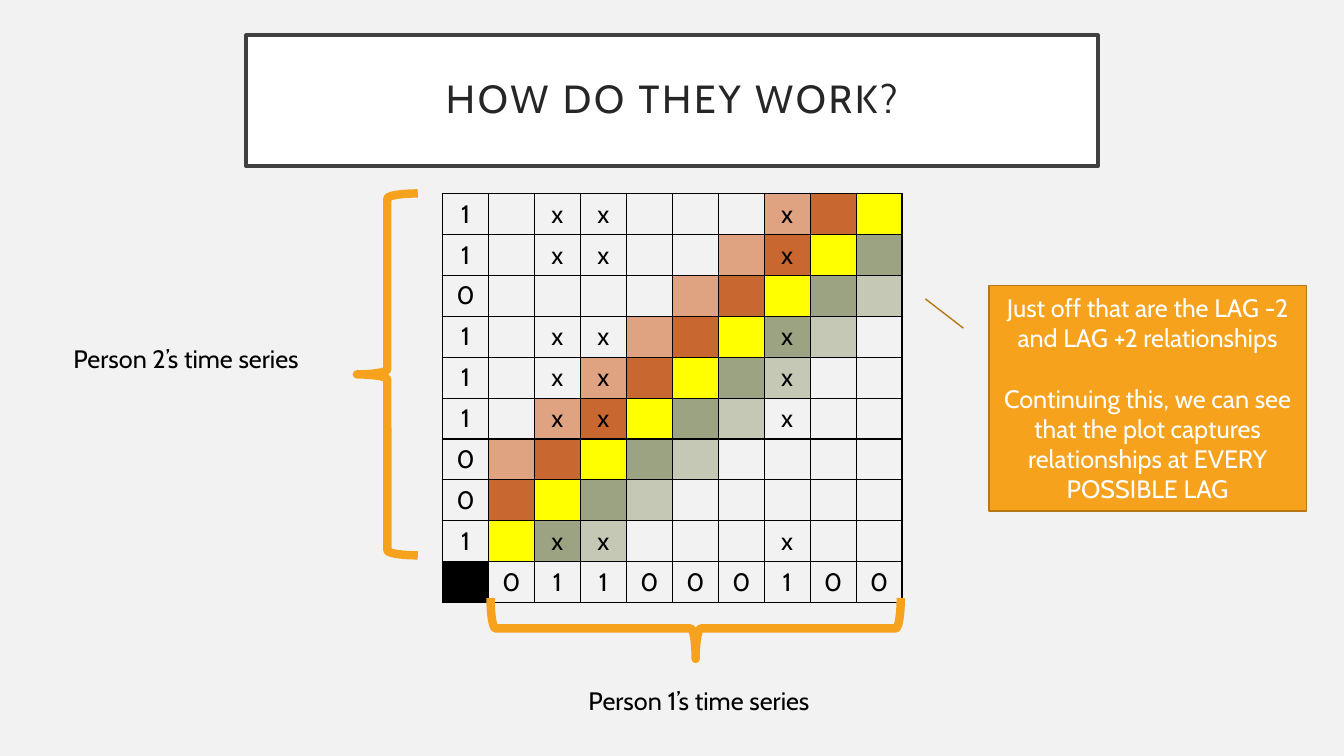
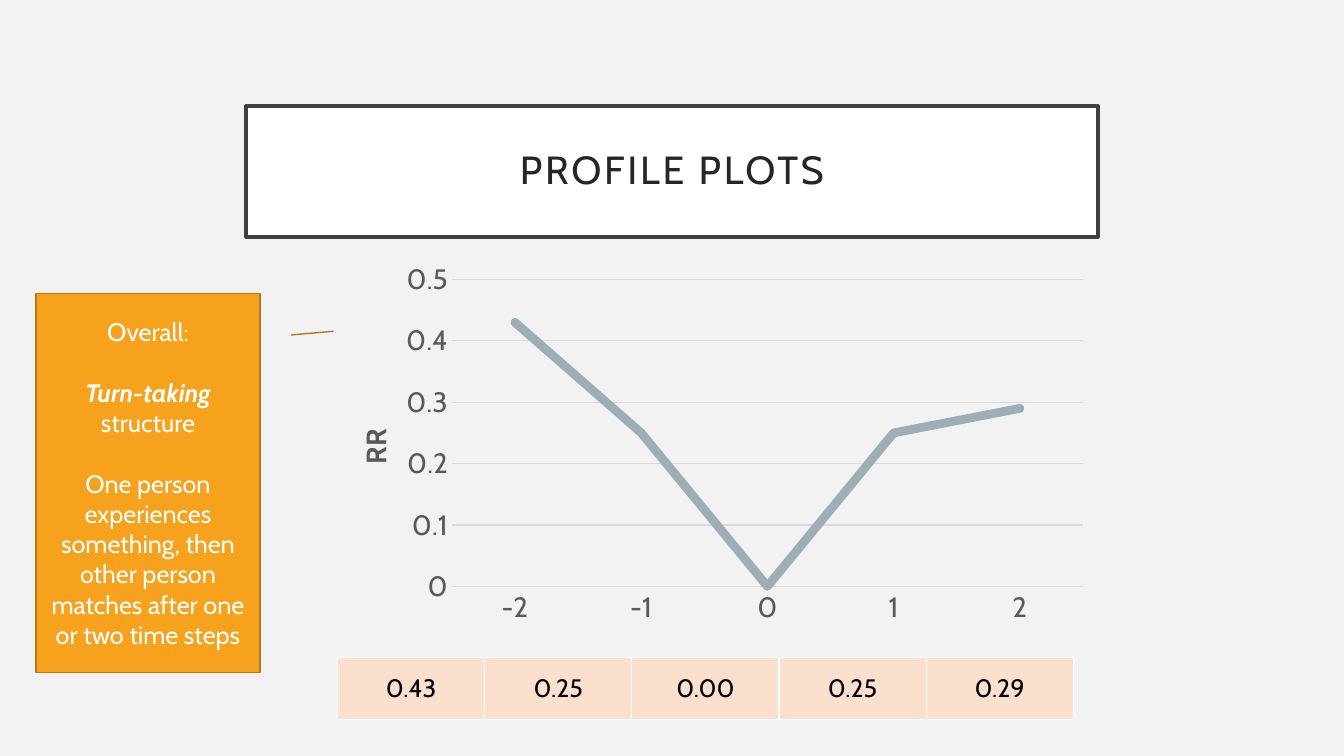
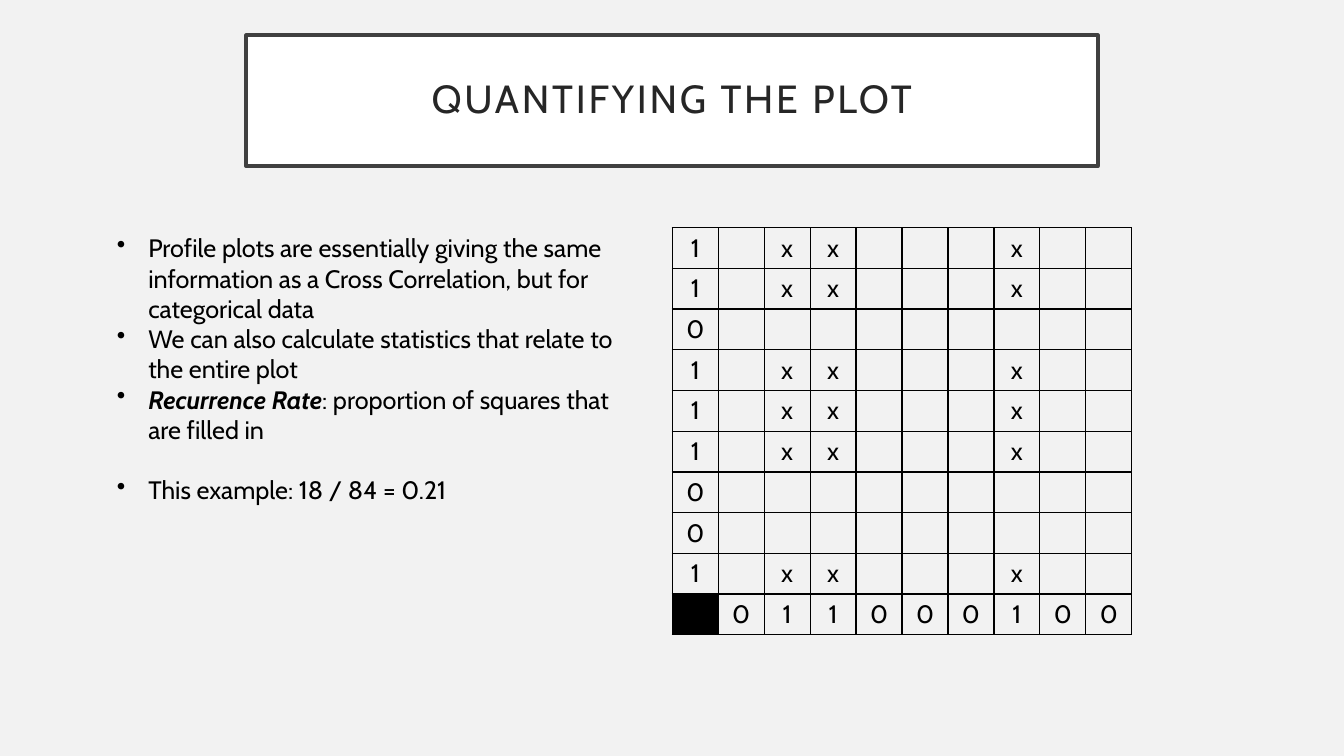
"""Build three slides on recurrence plots, lag profiles and recurrence rate."""
from lxml import etree
from pptx import Presentation
from pptx.chart.data import CategoryChartData
from pptx.dml.color import RGBColor
from pptx.enum.chart import XL_CHART_TYPE, XL_MARKER_STYLE, XL_TICK_MARK
from pptx.enum.shapes import MSO_SHAPE
from pptx.enum.text import MSO_ANCHOR, PP_ALIGN
from pptx.oxml.ns import qn
from pptx.util import Pt

RECT, BRACE, CALLOUT = MSO_SHAPE.RECTANGLE, MSO_SHAPE.LEFT_BRACE, MSO_SHAPE.LINE_CALLOUT_1
CENTER, LEFT = PP_ALIGN.CENTER, PP_ALIGN.LEFT
MIDDLE = MSO_ANCHOR.MIDDLE
NO_TICK = XL_TICK_MARK.NONE
LINE_MARKERS, CIRCLE = XL_CHART_TYPE.LINE_MARKERS, XL_MARKER_STYLE.CIRCLE

FONT = "Cabin"
BACKGROUND = RGBColor(0xF2, 0xF2, 0xF2)
WHITE = RGBColor(0xFF, 0xFF, 0xFF)
BLACK = RGBColor(0, 0, 0)
TITLE_TEXT = RGBColor(0x26, 0x26, 0x26)
TITLE_LINE = RGBColor(0x40, 0x40, 0x40)
ORANGE = RGBColor(0xF6, 0xA2, 0x1D)
ORANGE_LINE = RGBColor(0xB6, 0x78, 0x15)
PEACH = RGBColor(0xFB, 0xE0, 0xCD)
AXIS_TEXT = RGBColor(0x59, 0x59, 0x59)
GRID = RGBColor(0xD9, 0xD9, 0xD9)
SERIES = RGBColor(0x9B, 0xAF, 0xB5)
LAG_COLORS = {
    -2: RGBColor(0xE0, 0xA3, 0x82),
    -1: RGBColor(0xC9, 0x67, 0x31),
    0: RGBColor(0xFF, 0xFF, 0x00),
    1: RGBColor(0x9C, 0xA3, 0x83),
    2: RGBColor(0xC4, 0xC8, 0xB5),
}

PERSON_1 = "011000100"
PERSON_2 = "110111001"
RATES = [0.43, 0.25, 0, 0.25, 0.29]
LINE_GAP = 21.6


def write(tf, paragraphs, color=BLACK, size=18, align=LEFT):
    """Write (space before, text) paragraphs; text between asterisks is bold italic."""
    tf.word_wrap = True
    for n, (gap, text) in enumerate(paragraphs):
        p = tf.add_paragraph() if n else tf.paragraphs[0]
        p.alignment = align
        if gap:
            p.space_before = Pt(gap)
        for i, part in enumerate(text.split("*")):
            if part:
                r = p.add_run()
                r.text = part
                r.font.name, r.font.size = FONT, Pt(size)
                r.font.color.rgb = color
                if i % 2:
                    r.font.bold = r.font.italic = True


def style_cell(cell, text, fill, edge):
    """Give a table cell its borders, fill and centred text."""
    tcPr = cell._tc.get_or_add_tcPr()
    for side in "LRTB":
        ln = etree.SubElement(tcPr, qn(f"a:ln{side}"), w=str(Pt(1)))
        solid = etree.SubElement(ln, qn("a:solidFill"))
        etree.SubElement(solid, qn("a:srgbClr"), val=str(edge))
    if fill is None:
        cell.fill.background()
    else:
        cell.fill.solid()
        cell.fill.fore_color.rgb = fill
    cell.vertical_anchor = MIDDLE
    write(cell.text_frame, [(0, text)], align=CENTER)


prs = Presentation()
prs.slide_width, prs.slide_height = Pt(960), Pt(540)

slides = []
for title, top in [("HOW DO THEY WORK?", 25.2), ("PROFILE PLOTS", 75.6), ("QUANTIFYING THE PLOT", 25.2)]:
    s = prs.slides.add_slide(prs.slide_layouts[6])
    s.background.fill.solid()
    s.background.fill.fore_color.rgb = BACKGROUND
    sp = s.shapes.add_shape(RECT, Pt(175.8), Pt(top), Pt(608.4), Pt(93.6))
    sp.shadow.inherit = False
    sp.fill.solid()
    sp.fill.fore_color.rgb = WHITE
    sp.line.color.rgb = TITLE_LINE
    sp.line.width = Pt(2.5)
    tf = sp.text_frame
    tf.vertical_anchor = MIDDLE
    tf.margin_left = tf.margin_right = tf.margin_top = tf.margin_bottom = Pt(14.4)
    write(tf, [(0, title)], TITLE_TEXT, 28, CENTER)
    tf.paragraphs[0].line_spacing = 0.9
    tf.paragraphs[0].runs[0]._r.get_or_add_rPr().set("spc", "200")
    slides.append(s)
how, profile, quantify = slides

size = len(PERSON_1) + 1
for s, left, top, lag_colors in [(how, 316.1, 138.4, LAG_COLORS), (quantify, 480.2, 162.6, {})]:
    table = s.shapes.add_table(size, size, Pt(left), Pt(top), Pt(328.3), Pt(291)).table
    table.first_row = table.horz_banding = False
    for i in range(size):
        table.columns[i].width = Pt(32.83)
        table.rows[i].height = Pt(29.1)
    style_cell(table.cell(size - 1, 0), "", BLACK, BLACK)
    for i in range(size - 1):
        style_cell(table.cell(i, 0), PERSON_2[i], None, BLACK)
        style_cell(table.cell(size - 1, i + 1), PERSON_1[i], None, BLACK)
        for j in range(size - 1):
            mark = "x" if PERSON_2[i] == PERSON_1[j] == "1" else ""
            lag = i + j + 2 - size
            style_cell(table.cell(i, j + 1), mark, lag_colors.get(lag), BLACK)

for left, top, height, rotation in [(254.9, 138.2, 258.5, 0), (475.2, 302.4, 293, 270)]:
    sp = how.shapes.add_shape(BRACE, Pt(left), Pt(top), Pt(43.5), Pt(height))
    sp.shadow.inherit = False
    sp.rotation = rotation
    sp.fill.background()
    sp.line.color.rgb = ORANGE
    sp.line.width = Pt(6)

for text, left, top in [("Person 2’s time series", 45.4, 242), ("Person 1’s time series", 413.3, 486)]:
    tb = how.shapes.add_textbox(Pt(left), Pt(top), Pt(191.5), Pt(29))
    write(tb.text_frame, [(0, text)])

table = profile.shapes.add_table(1, len(RATES), Pt(241.2), Pt(469.6), Pt(525.5), Pt(44.4)).table
table.first_row = table.horz_banding = False
for i, rate in enumerate(RATES):
    table.columns[i].width = Pt(105.1)
    style_cell(table.cell(0, i), f"{rate:.2f}", PEACH, WHITE)

data = CategoryChartData()
data.categories = ["-2", "-1", "0", "1", "2"]
data.add_series("Series 1", RATES)
chart = profile.shapes.add_chart(LINE_MARKERS, Pt(228.2), Pt(180.7), Pt(556.6), Pt(270.7), data).chart
chart.has_legend = chart.has_title = False
chart.font.name, chart.font.size = FONT, Pt(20)
chart.font.color.rgb = AXIS_TEXT
chart.plots[0].vary_by_categories = False

series = chart.plots[0].series[0]
series.smooth = False
series.format.line.color.rgb = SERIES
series.format.line.width = Pt(6.25)
series._element.xpath("c:spPr/a:ln")[0].set("cap", "rnd")
series.marker.style, series.marker.size = CIRCLE, 5
series.marker.format.fill.solid()
series.marker.format.fill.fore_color.rgb = SERIES
series.marker.format.line.color.rgb = SERIES

cat_axis, val_axis = chart.category_axis, chart.value_axis
for axis in (cat_axis, val_axis):
    axis.major_tick_mark = axis.minor_tick_mark = NO_TICK
cat_axis.format.line.color.rgb = GRID
cat_axis.format.line.width = Pt(0.75)
val_axis.format.line.fill.background()
val_axis.minimum_scale, val_axis.maximum_scale, val_axis.major_unit = 0, 0.5, 0.1
val_axis.has_major_gridlines = True
val_axis.major_gridlines.format.line.color.rgb = GRID
val_axis.major_gridlines.format.line.width = Pt(0.75)
write(val_axis.axis_title.text_frame, [(0, "RR")], AXIS_TEXT, 20, CENTER)
axis_title = val_axis.axis_title._element
bodyPr = axis_title.xpath(".//a:bodyPr")[0]
bodyPr.set("rot", "-5400000")
bodyPr.set("vert", "horz")

plot_area = chart._chartSpace.xpath("c:chart/c:plotArea")[0]
plot_layout = {"layoutTarget": "inner", "xMode": "edge", "yMode": "edge", "x": 0.17, "y": 0.07, "w": 0.81, "h": 0.81}
title_layout = {"xMode": "edge", "yMode": "edge", "x": 0.04, "y": 0.45}
for parent, index, values in [(plot_area, 0, plot_layout), (axis_title, 1, title_layout)]:
    for old in parent.xpath("c:layout"):
        parent.remove(old)
    layout = etree.Element(qn("c:layout"))
    manual = etree.SubElement(layout, qn("c:manualLayout"))
    for name, value in values.items():
        etree.SubElement(manual, qn(f"c:{name}"), val=str(value))
    parent.insert(index, layout)

callouts = [
    (how, (706.3, 203.8, 226.8, 161.3), (0.19, -0.08, 0.06, -0.2), [
        (0, "Just off that are the LAG -2 and LAG +2 relationships"),
        (LINE_GAP, "Continuing this, we can see that the plot captures relationships at EVERY POSSIBLE LAG"),
    ]),
    (profile, (25.8, 209.5, 159.8, 271), (0.11, 1.14, 0.1, 1.33), [
        (0, "Overall:"),
        (LINE_GAP, "*Turn-taking* structure"),
        (LINE_GAP, "One person experiences something, then other person matches after one or two time steps"),
    ]),
]
for s, box, pointer, paragraphs in callouts:
    sp = s.shapes.add_shape(CALLOUT, *map(Pt, box))
    sp.shadow.inherit = False
    for i, value in enumerate(pointer):
        sp.adjustments[i] = value
    sp.fill.solid()
    sp.fill.fore_color.rgb = ORANGE
    sp.line.color.rgb = ORANGE_LINE
    sp.line.width = Pt(1)
    sp.text_frame.vertical_anchor = MIDDLE
    write(sp.text_frame, paragraphs, WHITE, align=CENTER)

tb = quantify.shapes.add_textbox(Pt(76.3), Pt(162.7), Pt(370.8), Pt(203.8))
write(tb.text_frame, [
    (0, "Profile plots are essentially giving the same information as a Cross Correlation, but for categorical data"),
    (0, "We can also calculate statistics that relate to the entire plot"),
    (0, "*Recurrence Rate*: proportion of squares that are filled in"),
    (LINE_GAP, "This example: 18 / 84 = 0.21"),
])
for p in tb.text_frame.paragraphs:
    pPr = p._p.get_or_add_pPr()
    pPr.set("marL", str(Pt(22.5)))
    pPr.set("indent", str(Pt(-22.5)))
    etree.SubElement(pPr, qn("a:buChar"), char="•")

prs.save("out.pptx")
